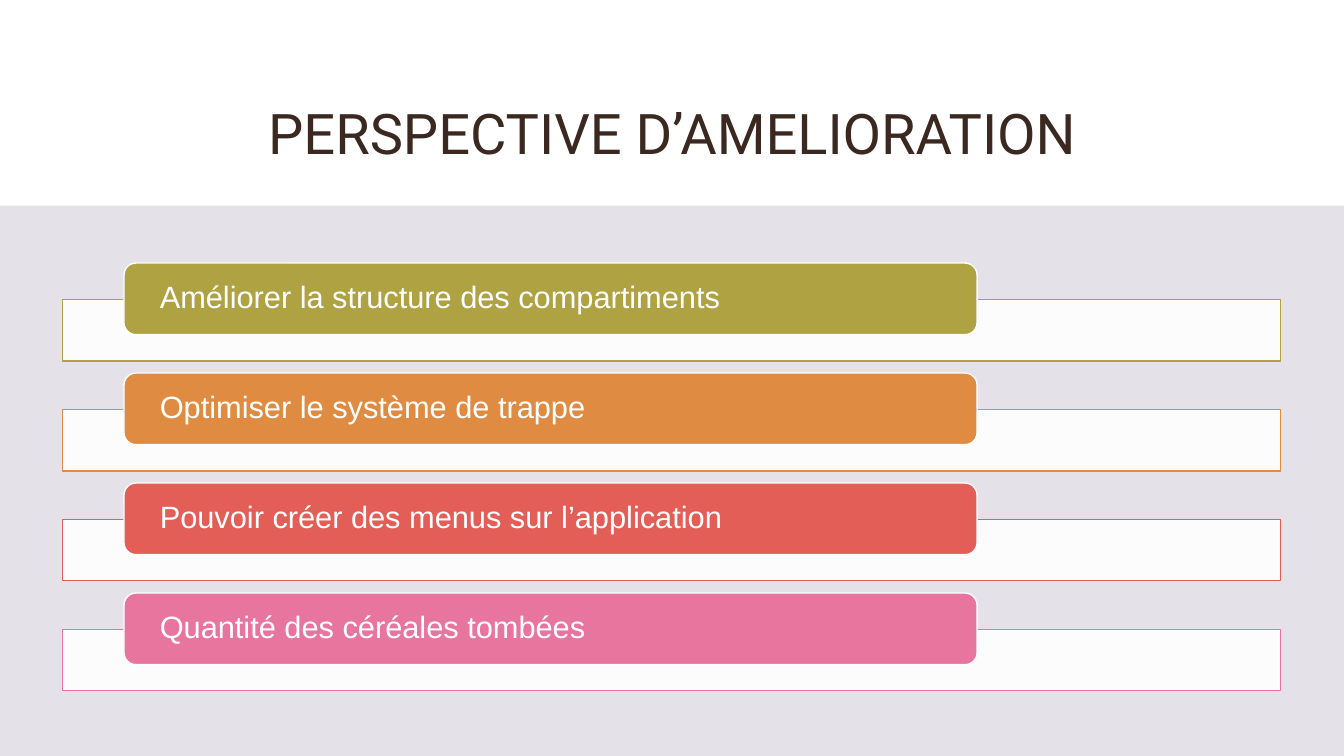
from lxml import etree
from pptx import Presentation
from pptx.dml.color import RGBColor
from pptx.enum.shapes import MSO_SHAPE
from pptx.enum.text import MSO_ANCHOR, PP_ALIGN
from pptx.oxml.ns import qn
from pptx.util import Inches, Pt

RECT, ROUND = MSO_SHAPE.RECTANGLE, MSO_SHAPE.ROUNDED_RECTANGLE
MIDDLE = MSO_ANCHOR.MIDDLE
LEFT, CENTER = PP_ALIGN.LEFT, PP_ALIGN.CENTER

HUES = {
    "white": "FFFFFF",
    "ink": "3A2821",
    "panel": "E4E2E8",
    "olive": "AEA242",
    "orange": "DF8C42",
    "red": "E35E56",
    "pink": "E8759E",
}
GOALS = [
    ("Améliorer la structure des compartiments", "olive"),
    ("Optimiser le système de trappe", "orange"),
    ("Pouvoir créer des menus sur l’application", "red"),
    ("Quantité des céréales tombées", "pink"),
]
TOP, STEP = 34.8, 14.55  # first label and row pitch, % of slide height
DROP = 4.8  # from the top of a label to the top of its frame


class Deck:
    """Holds style and slide; boxes are (x, y, w, h) in % of the slide."""

    def __init__(self):
        self.prs = Presentation()
        self.prs.slide_width = Inches(13.33)
        self.prs.slide_height = Inches(7.5)
        self.slide = self.prs.slides.add_slide(self.prs.slide_layouts[6])

    def place(self, box):
        wide, high = self.prs.slide_width, self.prs.slide_height
        return [int(n * side / 100) for n, side in zip(box, (wide, high) * 2)]

    def hue(self, name):
        return RGBColor.from_string(HUES[name])

    def shape(self, kind, box, fill, line=None, alpha=None):
        item = self.slide.shapes.add_shape(kind, *self.place(box))
        item.shadow.inherit = False
        item.fill.solid()
        item.fill.fore_color.rgb = self.hue(fill)
        if alpha:
            color = item._element.spPr.find(qn("a:solidFill"))[0]
            etree.SubElement(color, qn("a:alpha"), val=str(alpha * 1000))
        if line:
            item.line.color.rgb = self.hue(line)
            item.line.width = Pt(1)
        else:
            item.line.fill.background()
        return item

    def label(self, item, text, font, size, color, align, inset=0.1):
        frame = item.text_frame
        frame.text = text
        frame.word_wrap = True
        frame.vertical_anchor = MIDDLE
        frame.margin_left = frame.margin_right = Inches(inset)
        frame.margin_top = frame.margin_bottom = 0
        para = frame.paragraphs[0]
        para.alignment = align
        style = para.runs[0].font
        style.name, style.size = font, Pt(size)
        style.color.rgb = self.hue(color)
        return para

    def title(self, text, box):
        item = self.slide.shapes.add_textbox(*self.place(box))
        self.label(item, text, "Roboto", 40, "ink", CENTER)

    def goal(self, text, color, y):
        self.shape(RECT, (4.65, y + DROP, 90.62, 8.13), "white", color, 90)
        pill = self.shape(ROUND, (9.23, y, 63.47, 9.47), color, "white")
        para = self.label(pill, text, "Arial", 22, "white", LEFT, 0.32)
        para.line_spacing = 0.9


def main():
    deck = Deck()

    # Heading and lower panel
    deck.shape(RECT, (0, 0, 100, 100), "white")
    deck.title("PERSPECTIVE D’AMELIORATION", (11.7, 10.27, 76.6, 14.53))
    deck.shape(RECT, (0, 27.2, 100, 72.8), "panel")

    # One framed label per goal
    for row, (text, color) in enumerate(GOALS):
        deck.goal(text, color, TOP + row * STEP)

    deck.prs.save("out.pptx")


if __name__ == "__main__":
    main()
